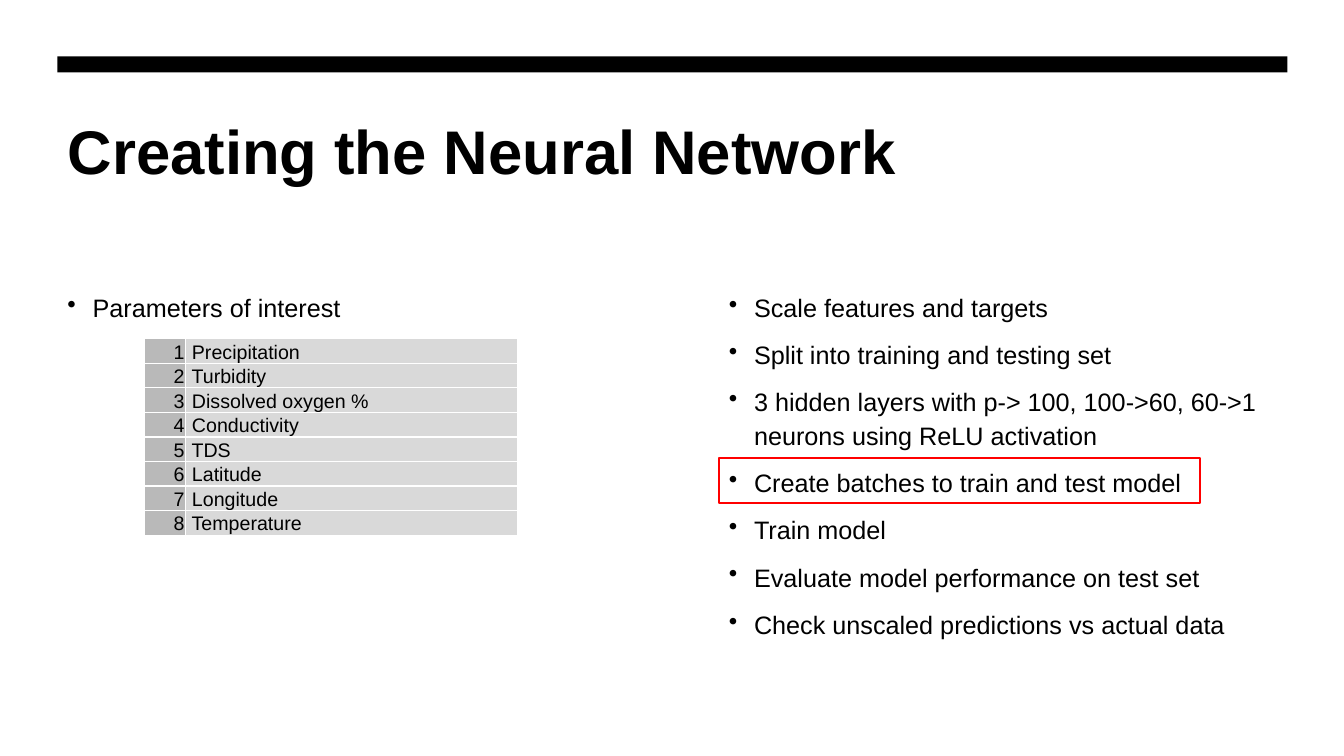
from lxml.etree import SubElement
from pptx import Presentation
from pptx.dml.color import RGBColor
from pptx.enum.shapes import MSO_SHAPE
from pptx.enum.text import MSO_ANCHOR, PP_ALIGN
from pptx.oxml.ns import qn
from pptx.util import Inches, Pt

BLACK = RGBColor(0x00, 0x00, 0x00)
WHITE = RGBColor(0xFF, 0xFF, 0xFF)
RED = RGBColor(0xFF, 0x00, 0x00)
NUMBER_GREY = RGBColor(0xB9, 0xB9, 0xB9)
NAME_GREY = RGBColor(0xD9, 0xD9, 0xD9)

PARAMETERS = ["Precipitation", "Turbidity", "Dissolved oxygen %", "Conductivity",
              "TDS", "Latitude", "Longitude", "Temperature"]
STEPS = [
    "Scale features and targets",
    "Split into training and testing set",
    "3 hidden layers with p-> 100, 100->60, 60->1 neurons using ReLU activation",
    "Create batches to train and test model",
    "Train model",
    "Evaluate model performance on test set",
    "Check unscaled predictions vs actual data",
]


def set_font(p, size, bold=False):
    p.font.name = "Arial"
    p.font.size = Pt(size)
    p.font.bold = bold
    p.font.color.rgb = BLACK


def add_rect(s, left, top, width, height, fill=None, line=None):
    sp = s.shapes.add_shape(MSO_SHAPE.RECTANGLE, Inches(left), Inches(top),
                            Inches(width), Inches(height))
    sp.shadow.inherit = False
    if fill is None:
        sp.fill.background()
    else:
        sp.fill.solid()
        sp.fill.fore_color.rgb = fill
    if line is None:
        sp.line.fill.background()
    else:
        sp.line.color.rgb = line
        sp.line.width = Pt(1.5)


def set_title(s, text):
    title = s.shapes.title
    title.left, title.top = Inches(0.57), Inches(1.07)
    title.width, title.height = Inches(12.2), Inches(1.6)
    tf = title.text_frame
    tf.text = text
    tf.vertical_anchor = MSO_ANCHOR.TOP
    p = tf.paragraphs[0]
    p.alignment = PP_ALIGN.LEFT
    set_font(p, 44, bold=True)


def add_bullets(s, left, items):
    box = s.shapes.add_textbox(Inches(left), Inches(2.82), Inches(5.65), Inches(4.12))
    tf = box.text_frame
    tf.word_wrap = True
    for i, item in enumerate(items):
        p = tf.add_paragraph() if i else tf.paragraphs[0]
        p.text = item
        p.line_spacing = 1.1
        p.space_before = Pt(10)
        set_font(p, 18)
        pPr = p._p.get_or_add_pPr()
        pPr.set("marL", str(Inches(0.25)))
        pPr.set("indent", str(Inches(-0.25)))
        bullet = pPr.makeelement(qn("a:buChar"), {"char": "•"})
        pPr.find(qn("a:defRPr")).addprevious(bullet)


def add_borders(cell):
    tcPr = cell._tc.get_or_add_tcPr()
    for i, side in enumerate(("a:lnL", "a:lnR", "a:lnT", "a:lnB")):
        ln = tcPr.makeelement(qn(side), {"w": str(Pt(1))})
        fill = SubElement(ln, qn("a:solidFill"))
        SubElement(fill, qn("a:srgbClr"), val=str(WHITE))
        tcPr.insert(i, ln)


def fill_cell(cell, text, fill, align):
    cell.text = text
    cell.fill.solid()
    cell.fill.fore_color.rgb = fill
    cell.vertical_anchor = MSO_ANCHOR.BOTTOM
    cell.margin_left = cell.margin_right = cell.margin_top = Inches(0.01)
    cell.margin_bottom = 0
    p = cell.text_frame.paragraphs[0]
    p.alignment = align
    set_font(p, 14)
    add_borders(cell)


def add_parameter_table(s, names):
    row_height = 0.2
    frame = s.shapes.add_table(len(names), 2, Inches(1.43), Inches(3.36),
                               Inches(3.7), Inches(row_height * len(names)))
    table = frame.table
    table.columns[0].width = Inches(0.41)
    table.columns[1].width = Inches(3.29)
    for i, name in enumerate(names):
        table.rows[i].height = Inches(row_height)
        fill_cell(table.cell(i, 0), str(i + 1), NUMBER_GREY, PP_ALIGN.RIGHT)
        fill_cell(table.cell(i, 1), f" {name}", NAME_GREY, PP_ALIGN.LEFT)


def main():
    prs = Presentation()
    prs.slide_width, prs.slide_height = Inches(13.33), Inches(7.5)
    s = prs.slides.add_slide(prs.slide_layouts[5])
    add_rect(s, 0.57, 0.56, 12.2, 0.16, fill=BLACK)
    set_title(s, "Creating the Neural Network")
    add_bullets(s, 0.57, ["Parameters of interest"])
    add_bullets(s, 7.13, STEPS)
    add_parameter_table(s, PARAMETERS)
    add_rect(s, 7.13, 4.54, 4.77, 0.45, line=RED)
    prs.save("out.pptx")


if __name__ == "__main__":
    main()
